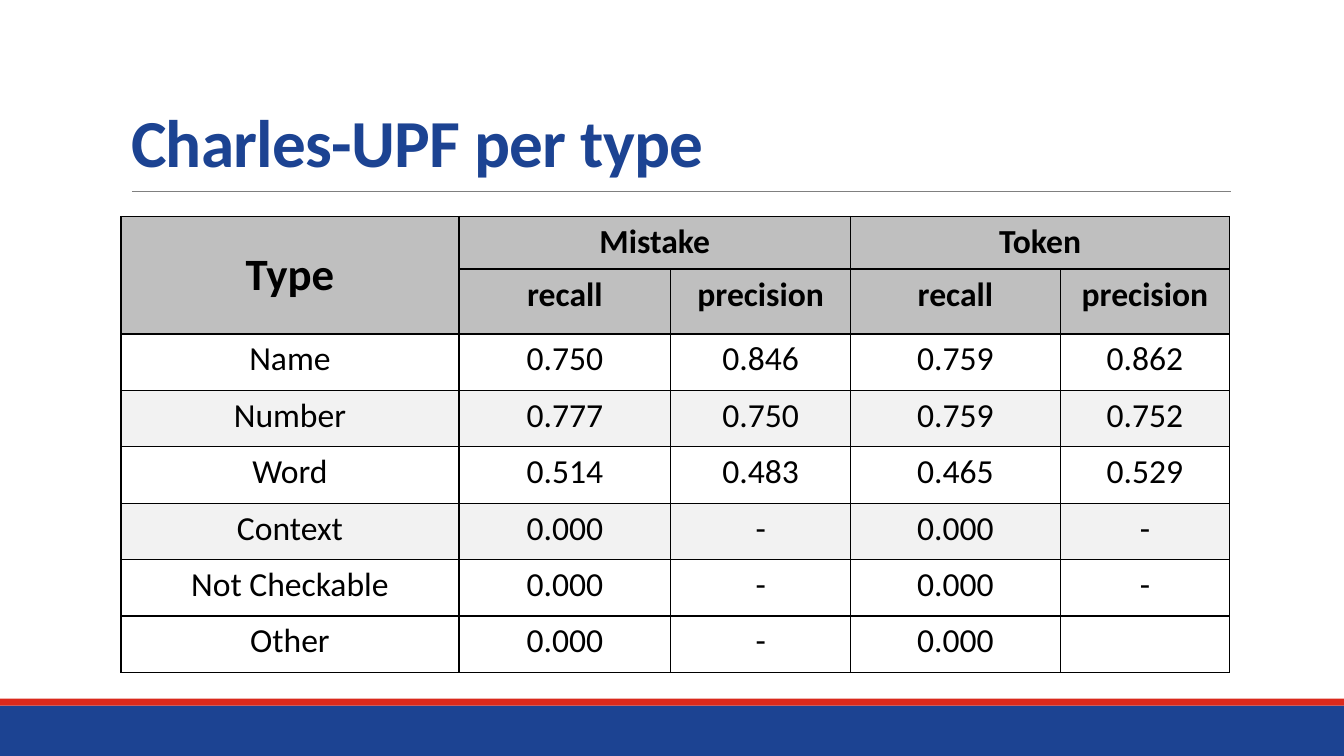
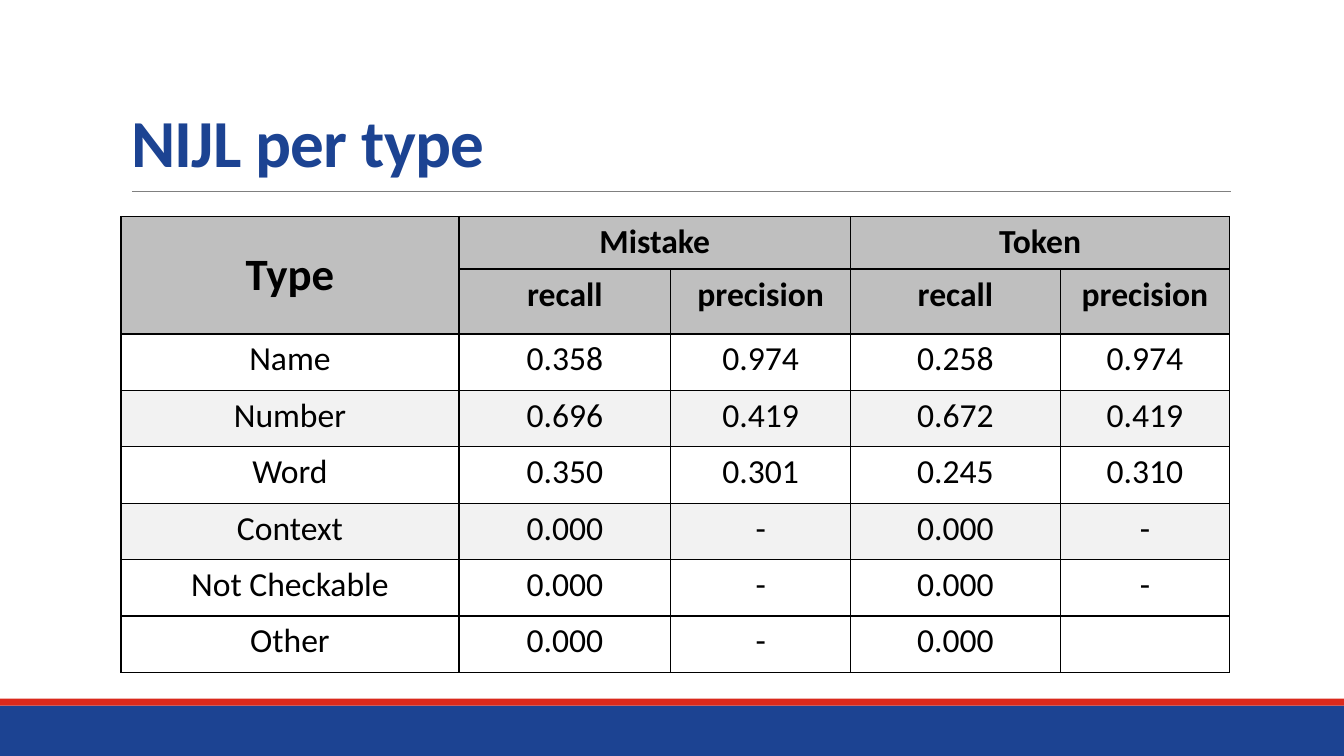
from lxml import etree
from pptx import Presentation
from pptx.dml.color import RGBColor
from pptx.enum.shapes import MSO_CONNECTOR, MSO_SHAPE
from pptx.enum.text import MSO_ANCHOR, MSO_AUTO_SIZE, PP_ALIGN
from pptx.oxml.ns import qn
from pptx.util import Pt

RECT = MSO_SHAPE.RECTANGLE
STRAIGHT = MSO_CONNECTOR.STRAIGHT
TOP, MIDDLE, BOTTOM = MSO_ANCHOR.TOP, MSO_ANCHOR.MIDDLE, MSO_ANCHOR.BOTTOM
LEFT, CENTER = PP_ALIGN.LEFT, PP_ALIGN.CENTER
NO_FIT = MSO_AUTO_SIZE.NONE

WIDTH, HEIGHT = 960, 540
COLORS = {
    "blue": "1C4392", "red": "DA291C", "rule": "808080", "black": "000000",
    "head": "BFBFBF", "stripe": "F2F2F2", "white": "FFFFFF",
}
FONTS = {
    "title": {"size": Pt(48), "bold": True, "color": "blue"},
    "corner": {"size": Pt(32), "bold": True, "color": "black"},
    "head": {"size": Pt(24), "bold": True, "color": "black"},
    "body": {"size": Pt(24), "bold": False, "color": "black"},
}

COL_WIDTHS = [241.4, 151.4, 128.4, 149.8, 121]
HEAD_HEIGHTS = [37.6, 46.2]
BODY_HEIGHT = 40.3
HEAD_ROWS = [
    ["Type", "Mistake", "", "Token", ""],
    ["", "recall", "precision", "recall", "precision"],
]
SPANS = [((0, 0), (1, 0)), ((0, 1), (0, 2)), ((0, 3), (0, 4))]
UNSCORED_ROWS = [
    ["Context", "0.000", "-", "0.000", "-"],
    ["Not Checkable", "0.000", "-", "0.000", "-"],
    ["Other", "0.000", "-", "0.000", ""],
]
STRIPED_TYPES = {"Number", "Context"}

RESULTS = {
    "Charles-UPF per type": [
        ["Name", "0.750", "0.846", "0.759", "0.862"],
        ["Number", "0.777", "0.750", "0.759", "0.752"],
        ["Word", "0.514", "0.483", "0.465", "0.529"],
    ],
    "NIJL per type": [
        ["Name", "0.358", "0.974", "0.258", "0.974"],
        ["Number", "0.696", "0.419", "0.672", "0.419"],
        ["Word", "0.350", "0.301", "0.245", "0.310"],
    ],
}


def rgb(name):
    return RGBColor.from_string(COLORS[name])


class Deck:
    """Holds the presentation, its style and the current slide."""

    def __init__(self):
        self.prs = Presentation()
        self.prs.slide_width, self.prs.slide_height = Pt(WIDTH), Pt(HEIGHT)
        self.s = None

    def add_slide(self, title):
        self.s = self.prs.slides.add_slide(self.prs.slide_layouts[5])
        self.rule(94.3, 879, 137)
        self.band(504, 36, "blue")
        self.band(499, 5, "red")
        self.title(title)

    def rule(self, x1, x2, y):
        line = self.s.shapes.add_connector(STRAIGHT, Pt(x1), Pt(y), Pt(x2), Pt(y))
        line.line.color.rgb = rgb("rule")
        line.line.width = Pt(0.5)
        etree.SubElement(line._element.spPr, qn("a:effectLst"))

    def band(self, top, height, color):
        sp = self.s.shapes.add_shape(RECT, 0, Pt(top), Pt(WIDTH), Pt(height))
        sp.shadow.inherit = False
        sp.fill.solid()
        sp.fill.fore_color.rgb = rgb(color)
        sp.line.fill.background()

    def title(self, text):
        sp = self.s.shapes.title
        sp.left, sp.top, sp.width, sp.height = Pt(86.4), Pt(71.3), Pt(792), Pt(62)
        tf = sp.text_frame
        tf.auto_size, tf.vertical_anchor = NO_FIT, BOTTOM
        r = self.add_text(tf, text, "title", LEFT)
        tf.paragraphs[0].line_spacing = 0.85
        r._r.get_or_add_rPr().set("spc", "-50")

    def add_text(self, tf, text, style, align):
        p = tf.paragraphs[0]
        p.alignment = align
        r = p.add_run()
        r.text = text
        r.font.name = "Calibri"
        for key, value in FONTS[style].items():
            if key == "color":
                r.font.color.rgb = rgb(value)
            else:
                setattr(r.font, key, value)
        return r

    def table(self, left, top, body_rows):
        rows = HEAD_ROWS + body_rows
        heights = HEAD_HEIGHTS + [BODY_HEIGHT] * len(body_rows)
        frame = self.s.shapes.add_table(
            len(rows), len(COL_WIDTHS), Pt(left), Pt(top),
            Pt(sum(COL_WIDTHS)), Pt(sum(heights)))
        table = frame.table
        table.first_row = table.horz_banding = False
        for col, width in zip(table.columns, COL_WIDTHS):
            col.width = Pt(width)
        for row, height in zip(table.rows, heights):
            row.height = Pt(height)
        for first, last in SPANS:
            table.cell(*first).merge(table.cell(*last))

        for i, values in enumerate(rows):
            is_head = i < len(HEAD_ROWS)
            striped = values[0] in STRIPED_TYPES
            fill = "head" if is_head else "stripe" if striped else "white"
            for j, text in enumerate(values):
                is_corner = i == j == 0
                style = "corner" if is_corner else "head" if is_head else "body"
                self.cell(table.cell(i, j), text, style, fill,
                          MIDDLE if is_corner else TOP)

    def cell(self, cell, text, style, fill, anchor):
        cell.vertical_anchor = anchor
        if text:
            self.add_text(cell.text_frame, text, style, CENTER)
        cell.fill.solid()
        cell.fill.fore_color.rgb = rgb(fill)
        self.borders(cell)

    def borders(self, cell):
        """Put the four side lines before the fill, as the schema orders them."""
        tcPr = cell._tc.get_or_add_tcPr()
        for k, side in enumerate(["a:lnL", "a:lnR", "a:lnT", "a:lnB"]):
            ln = etree.Element(qn(side), w=str(Pt(1)))
            solid = etree.SubElement(ln, qn("a:solidFill"))
            etree.SubElement(solid, qn("a:srgbClr"), val=COLORS["black"])
            tcPr.insert(k, ln)


def main():
    deck = Deck()
    for title, scored_rows in RESULTS.items():
        deck.add_slide(title)
        deck.table(86.4, 154.6, scored_rows + UNSCORED_ROWS)
    deck.prs.save("out.pptx")


if __name__ == "__main__":
    main()
